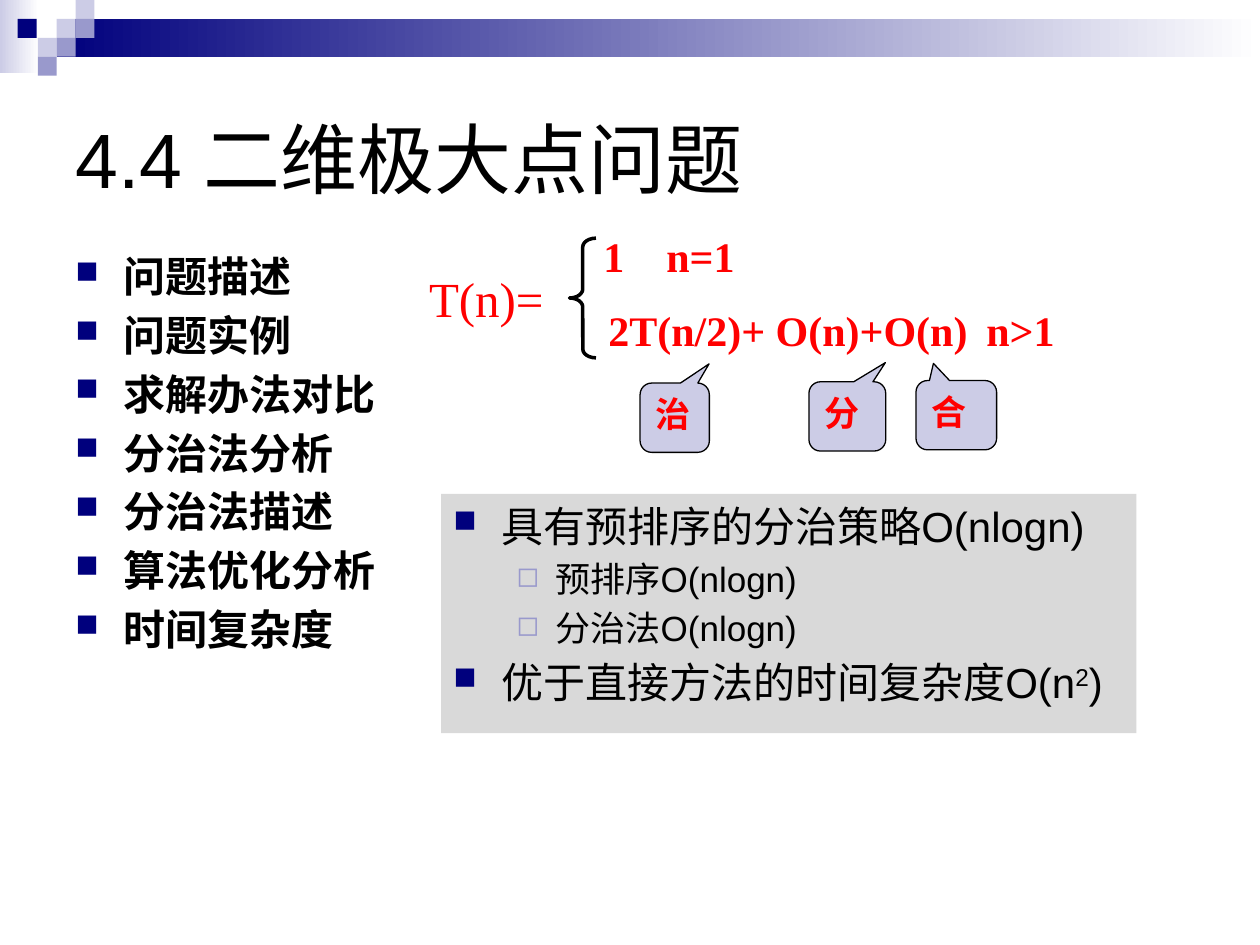
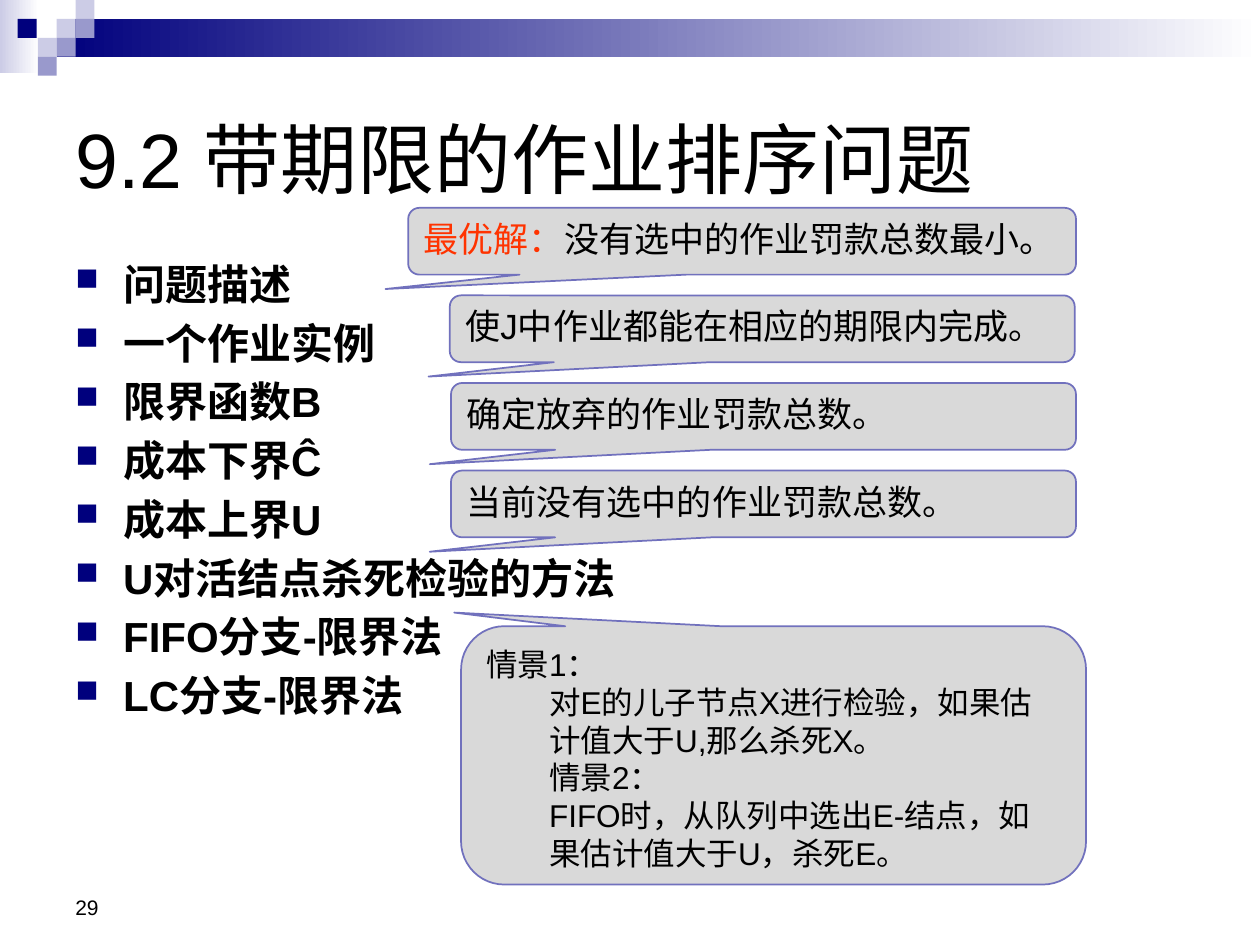
from dataclasses import dataclass, replace
from typing import NamedTuple, Optional

from lxml import etree
from pptx import Presentation
from pptx.dml.color import RGBColor
from pptx.enum.shapes import MSO_SHAPE
from pptx.enum.text import MSO_ANCHOR, PP_ALIGN
from pptx.oxml.ns import qn
from pptx.util import Inches, Pt

RECT = MSO_SHAPE.RECTANGLE
BRACE = MSO_SHAPE.LEFT_BRACE
CALLOUT = MSO_SHAPE.ROUNDED_RECTANGULAR_CALLOUT
TOP, MIDDLE, BOTTOM = MSO_ANCHOR.TOP, MSO_ANCHOR.MIDDLE, MSO_ANCHOR.BOTTOM
LEFT, CENTER = PP_ALIGN.LEFT, PP_ALIGN.CENTER

NAVY = RGBColor(0x00, 0x00, 0x7D)
LILAC = RGBColor(0xCC, 0xCC, 0xE6)
VIOLET = RGBColor(0x99, 0x99, 0xCC)
EDGE = RGBColor(0x71, 0x71, 0xBD)
GRAY = RGBColor(0xD9, 0xD9, 0xD9)
WHITE = RGBColor(0xFF, 0xFF, 0xFF)
BLACK = RGBColor(0x00, 0x00, 0x00)
RED = RGBColor(0xFF, 0x00, 0x00)
ORANGE = RGBColor(0xFF, 0x33, 0x00)
SANS, SERIF = "Arial", "Times New Roman"


class Box(NamedTuple):
    left: float
    top: float
    width: float
    height: float

    def lengths(self) -> list:
        return [Inches(v) for v in self]


class Bullet(NamedTuple):
    char: str
    color: RGBColor
    scale: int


@dataclass(frozen=True)
class Style:
    size: float
    color: RGBColor = BLACK
    font: str = SANS
    bold: bool = False
    align: PP_ALIGN = LEFT
    margin: float = 0
    indent: float = 0
    before: float = 0  # share of the text size
    line: Optional[float] = None
    tab: float = 0
    bullet: Optional[Bullet] = None


class Run(NamedTuple):
    text: str
    color: Optional[RGBColor] = None
    lift: int = 0


class Para(NamedTuple):
    style: Style
    runs: tuple


class Callout(NamedTuple):
    box: Box
    tip: tuple
    paras: list


SQUARE = Bullet("■", NAVY, 75)
HOLLOW = Bullet("◻", VIOLET, 80)
TITLE = Style(44)
NUMBER = Style(12)
POINT = Style(24, margin=0.38, indent=-0.38, before=0.2, bullet=SQUARE)
TOPIC = replace(POINT, bold=True)
DETAIL = Style(20, margin=0.81, indent=-0.31, before=0.2, bullet=HOLLOW)
MATH = Style(24, RED, SERIF, bold=True, line=0.7)
HEAD = Style(28, RED, SERIF, align=CENTER, before=0.5)
MARK = Style(20, RED, bold=True)
NOTE = Style(20, margin=0.38, indent=-0.38, before=0.2)
CASE = Style(18)
STEP = replace(CASE, margin=0.5)


def para(style: Style, *parts) -> Para:
    return Para(style, tuple(p if isinstance(p, Run) else Run(p) for p in parts))


# Text
def format_para(item, style: Style) -> None:
    item.alignment = style.align
    item.space_before = Pt(style.before * style.size)
    if style.line:
        item.line_spacing = style.line
    props = item._p.get_or_add_pPr()
    props.set("marL", str(Inches(style.margin)))
    props.set("indent", str(Inches(style.indent)))
    if style.bullet:
        tint = etree.SubElement(props, qn("a:buClr"))
        etree.SubElement(tint, qn("a:srgbClr"), val=str(style.bullet.color))
        etree.SubElement(props, qn("a:buSzPct"), val=str(style.bullet.scale * 1000))
        etree.SubElement(props, qn("a:buChar"), char=style.bullet.char)
    if style.tab:
        tabs = etree.SubElement(props, qn("a:tabLst"))
        etree.SubElement(tabs, qn("a:tab"), pos=str(Inches(style.tab)), algn="l")


def write(shape, paras: list, anchor: MSO_ANCHOR = TOP) -> None:
    frame = shape.text_frame
    frame.word_wrap = True
    frame.vertical_anchor = anchor
    for index, (style, runs) in enumerate(paras):
        item = frame.add_paragraph() if index else frame.paragraphs[0]
        format_para(item, style)
        for part in runs:
            run = item.add_run()
            run.text = part.text
            font = run.font
            font.name, font.size, font.bold = style.font, Pt(style.size), style.bold
            font.color.rgb = part.color or style.color
            if part.lift:
                run._r.get_or_add_rPr().set("baseline", str(part.lift * 1000))


def add_text(slide, box: Box, paras: list, anchor: MSO_ANCHOR = TOP) -> None:
    write(slide.shapes.add_textbox(*box.lengths()), paras, anchor)


# Shapes
def add_shape(slide, kind: MSO_SHAPE, box: Box, fill: Optional[RGBColor] = None,
              line: Optional[RGBColor] = None, weight: float = 1, adjust: tuple = ()):
    shape = slide.shapes.add_shape(kind, *box.lengths())
    shape.shadow.inherit = False
    if fill is None:
        shape.fill.background()
    else:
        shape.fill.solid()
        shape.fill.fore_color.rgb = fill
    if line is None:
        shape.line.fill.background()
    else:
        shape.line.color.rgb = line
        shape.line.width = Pt(weight)
    for index, value in enumerate(adjust):
        shape.adjustments[index] = value
    return shape


def add_fade(slide, box: Box, start: RGBColor) -> None:
    fill = add_shape(slide, RECT, box).fill
    fill.gradient()
    fill.gradient_angle = 0
    for stop, color, place in zip(fill.gradient_stops, (start, WHITE), (0, 1)):
        stop.color.rgb = color
        stop.position = place


def add_callouts(slide, items: list, fill: RGBColor, line: RGBColor, weight: float) -> None:
    for box, tip, paras in items:
        write(add_shape(slide, CALLOUT, box, fill, line, weight, (*tip, 0.167)), paras)


# Shared frame: faded bands, tiles, title and topic list
TILE = 0.15
TILES = [(0.45, 0.15, LILAC), (0.6, 0, LILAC), (0.6, 0.15, VIOLET),
         (0.3, 0.3, LILAC), (0.14, 0.15, NAVY), (0.45, 0.3, VIOLET),
         (0.3, 0.45, VIOLET)]


def start_slide(deck, title: str, body: Box, topics: list):
    slide = deck.slides.add_slide(deck.slide_layouts[6])
    add_fade(slide, Box(0, 0, 0.31, 0.58), LILAC)
    add_fade(slide, Box(0.45, 0.15, 9.55, 0.3), NAVY)
    for left, top, color in TILES:
        add_shape(slide, RECT, Box(left, top, TILE, TILE), color)
    add_text(slide, Box(0.5, 0.5, 9, 1.5), [para(TITLE, title)], MIDDLE)
    add_text(slide, body, [para(TOPIC, topic) for topic in topics])
    return slide


def build_maxima(deck) -> None:
    slide = start_slide(
        deck, "4.4 二维极大点问题", Box(0.5, 1.94, 9, 4.25),
        ["问题描述", "问题实例", "求解办法对比", "分治法分析", "分治法描述",
         "算法优化分析", "时间复杂度"])

    # Summary panel
    panel = add_shape(slide, RECT, Box(3.5, 3.92, 5.52, 1.9), GRAY)
    write(panel, [
        para(POINT, "具有预排序的分治策略O(nlogn)"),
        para(DETAIL, "预排序O(nlogn)"),
        para(DETAIL, "分治法O(nlogn)"),
        para(POINT, "优于直接方法的时间复杂度O(n", Run("2", lift=30), ")"),
    ])

    # Recurrence
    add_shape(slide, BRACE, Box(4.52, 1.89, 0.21, 0.95), None, BLACK, 2, (0.334, 0.5))
    add_text(slide, Box(4.69, 1.89, 4.25, 0.38), [para(replace(MATH, tab=2.41), "1\tn=1")])
    add_text(slide, Box(3.19, 2.08, 1.34, 0.57), [para(HEAD, "T(n)=")])
    add_text(slide, Box(4.73, 2.48, 4.2, 0.38),
             [para(replace(MATH, tab=3.18), "2T(n/2)+ O(n)+O(n)\tn>1")])

    # Labels of its terms
    add_callouts(slide, [
        Callout(Box(5.08, 3.04, 0.55, 0.55), (0.495, -0.777), [para(MARK, "治")]),
        Callout(Box(6.42, 3.03, 0.61, 0.55), (0.495, -0.777), [para(MARK, "分")]),
        Callout(Box(7.27, 3.02, 0.64, 0.55), (-0.283, -0.747), [para(MARK, "合")]),
    ], LILAC, BLACK, 0.75)


def build_jobs(deck) -> None:
    slide = start_slide(
        deck, "9.2 带期限的作业排序问题", Box(0.5, 2, 9, 3.88),
        ["问题描述", "一个作业实例", "限界函数B", "成本下界Ĉ", "成本上界U",
         "U对活结点杀死检验的方法", "FIFO分支-限界法", "LC分支-限界法"])
    add_text(slide, Box(0.5, 6.83, 2.33, 0.52), [para(NUMBER, "29")], BOTTOM)

    # Notes at an equal pitch
    notes = [
        (3.24, 5.3, [Run("最优解：", ORANGE), "没有选中的作业罚款总数最小。"]),
        (3.57, 4.96, ["使J中作业都能在相应的期限内完成。"]),
        (3.58, 4.96, ["确定放弃的作业罚款总数。"]),
        (3.58, 4.96, ["当前没有选中的作业罚款总数。"]),
    ]
    items = [
        Callout(Box(left, 1.65 + 0.695 * row, width, 0.53), (-0.534, 0.716),
                [para(NOTE, *parts)])
        for row, (left, width, parts) in enumerate(notes)
    ]
    items.append(Callout(Box(3.66, 4.97, 4.96, 2.05), (-0.511, -0.553), [
        para(CASE, "情景1："),
        para(STEP, "对E的儿子节点X进行检验，如果估计值大于U,那么杀死X。"),
        para(STEP, "情景2："),
        para(STEP, "FIFO时，从队列中选出E-结点，如果估计值大于U，杀死E。"),
    ]))
    add_callouts(slide, items, GRAY, EDGE, 1)


def main() -> None:
    deck = Presentation()
    deck.slide_width, deck.slide_height = Inches(10), Inches(7.5)
    build_maxima(deck)
    build_jobs(deck)
    deck.save("out.pptx")


if __name__ == "__main__":
    main()
